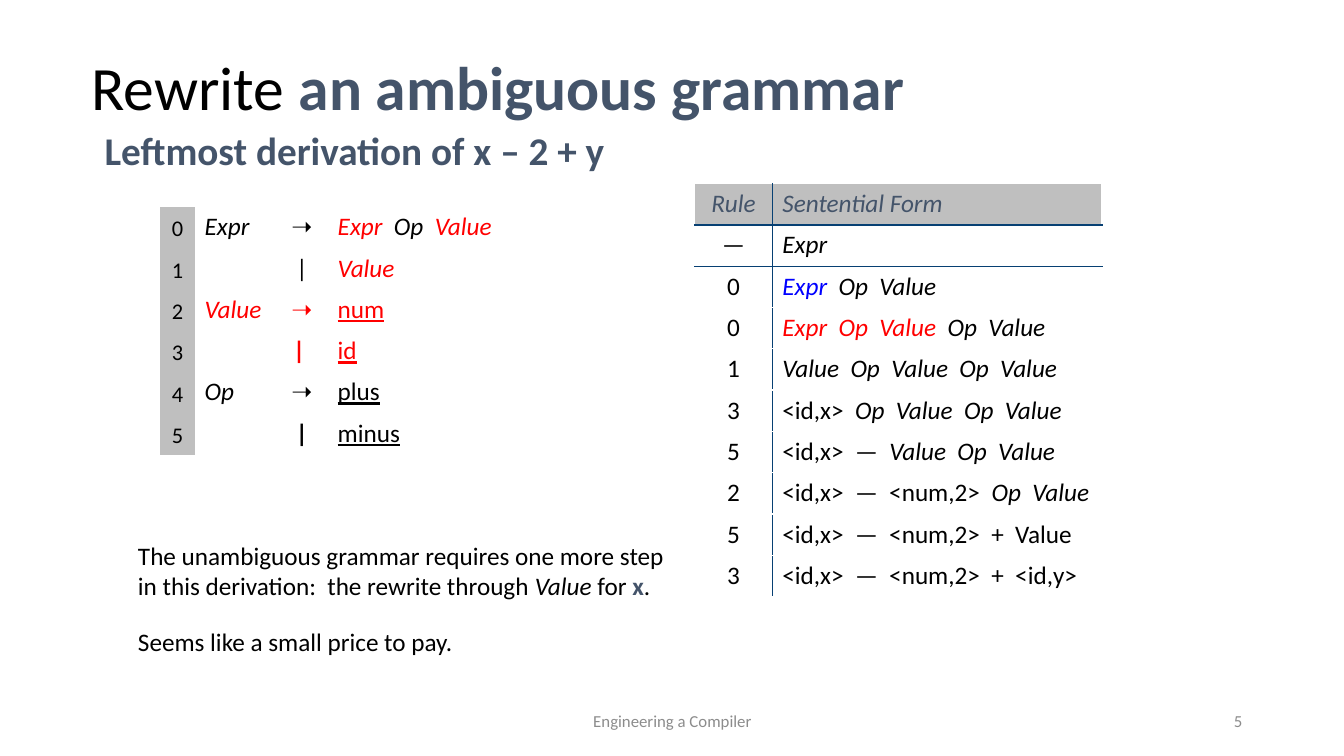
from lxml.etree import SubElement
from pptx import Presentation
from pptx.dml.color import RGBColor
from pptx.enum.text import MSO_ANCHOR, PP_ALIGN
from pptx.oxml.ns import qn
from pptx.util import Inches, Pt

BLACK, SLATE, GRAY, SILVER = "000000", "44546A", "8C8C8C", "BFBFBF"
RED, BLUE, NAVY, WHITE = "FF0000", "0000FF", "074073", "FFFFFF"
LEFT, CENTER, RIGHT = PP_ALIGN.LEFT, PP_ALIGN.CENTER, PP_ALIGN.RIGHT
ROW_HEIGHT = 0.41


def color(value):
    return RGBColor.from_string(value)


class SlideBuilder:
    """Holds the font and the current page; spans are (text, flags, colour)."""

    def __init__(self, page, font="Calibri"):
        self.page = page
        self.font = font

    def fill_para(self, para, spans, size, align=LEFT):
        para.alignment = align
        para.font.name = self.font
        para.font.size = Pt(size)
        for text, flags, ink in spans:
            span = para.add_run()
            span.text = text
            span.font.bold = "b" in flags
            span.font.italic = "i" in flags
            span.font.underline = "u" in flags
            span.font.color.rgb = color(ink)

    def text(self, area, paragraphs, size, align=LEFT, anchor=MSO_ANCHOR.TOP,
             line_spacing=None, space_before=()):
        box = self.page.shapes.add_textbox(*map(Inches, area))
        frame = box.text_frame
        frame.word_wrap = True
        frame.vertical_anchor = anchor
        for index, spans in enumerate(paragraphs):
            para = frame.add_paragraph() if index else frame.paragraphs[0]
            self.fill_para(para, spans, size, align)
            para.line_spacing = line_spacing
            if index < len(space_before):
                para.space_before = Pt(space_before[index])

    def table(self, left, top, widths, row_count):
        table = self.page.shapes.add_table(
            row_count, len(widths), Inches(left), Inches(top),
            Inches(sum(widths)), Inches(ROW_HEIGHT * row_count)).table
        table.first_row = table.horz_banding = False
        for column, width in zip(table.columns, widths):
            column.width = Inches(width)
        for row in table.rows:
            row.height = Inches(ROW_HEIGHT)
        return table

    def cell(self, cell, spans, size=18, align=LEFT, fill=None,
             anchor=MSO_ANCHOR.TOP, borders=None):
        cell.vertical_anchor = anchor
        self.fill_para(cell.text_frame.paragraphs[0], spans, size, align)
        self.borders(cell, borders or {})
        if fill:
            cell.fill.solid()
            cell.fill.fore_color.rgb = color(fill)
        else:
            cell.fill.background()

    def borders(self, cell, edges):
        properties = cell._tc.get_or_add_tcPr()
        for side in "LRTB":
            line = SubElement(properties, qn(f"a:ln{side}"))
            if side in edges:
                ink, width = edges[side]
                line.set("w", str(Pt(width)))
                solid = SubElement(line, qn("a:solidFill"))
                SubElement(solid, qn("a:srgbClr")).set("val", ink)
            else:
                SubElement(line, qn("a:noFill"))


def italic(text, ink=BLACK):
    return (text, "i", ink)


def plain(text, ink=BLACK):
    return (text, "", ink)


# Grammar rules: left-hand side, arrow or bar, right-hand side
GRAMMAR = [
    ([italic("Expr")], ("➝", "b", BLACK),
     [italic("Expr ", RED), italic(" Op  "), italic("Value", RED)]),
    ([], plain("|"), [italic("Value", RED)]),
    ([italic("Value", RED)], ("➝", "b", RED), [("num", "u", RED)]),
    ([], ("| ", "b", RED), [("id", "u", RED)]),
    ([italic("Op")], ("➝", "b", BLACK), [("plus", "u", BLACK)]),
    ([], ("|", "b", BLACK), [("minus", "u", BLACK)]),
]

# Derivation steps: rule applied, resulting sentential form
DERIVATION = [
    (italic("Rule", SLATE), [italic("Sentential Form", SLATE)]),
    (plain("—"), [italic("Expr")]),
    (plain("0"), [italic("Expr", BLUE), italic("  Op  Value")]),
    (plain("0"), [italic("Expr  Op  Value  ", RED), italic("Op  Value")]),
    (plain("1"), [italic("Value  Op  Value  Op  Value")]),
    (plain("3"), [plain("<id,x>  "), italic("Op  Value  Op  Value")]),
    (plain("5"), [plain("<id,x>  —  "), italic("Value  Op  Value")]),
    (plain("2"), [plain("<id,x>  —  <num,2>  "), italic("Op  Value")]),
    (plain("5"), [plain("<id,x>  —  <num,2>  +  Value")]),
    (plain("3"), [plain("<id,x>  —  <num,2>  +  <id,y>")]),
]


def main():
    deck = Presentation()
    deck.slide_width, deck.slide_height = Inches(13.33), Inches(7.5)
    slide = SlideBuilder(deck.slides.add_slide(deck.slide_layouts[6]))

    # Title and subtitle
    slide.text((0.81, 0.17, 11.5, 1.45),
               [[plain("Rewrite "), ("an ambiguous grammar", "b", SLATE)]],
               44, anchor=MSO_ANCHOR.MIDDLE, line_spacing=0.9)
    slide.text((0.94, 1.26, 10.03, 0.6),
               [[("Leftmost derivation of x – 2 + y", "b", SLATE)]],
               28, line_spacing=0.9, space_before=[10])

    # Derivation table: navy column rule, navy lines under the first two rows
    steps = slide.table(6.89, 1.82, [0.77, 3.27], len(DERIVATION))
    row_lines = {0: (NAVY, 1.5), 1: (NAVY, 0.75)}
    edge, rule_line = (WHITE, 1), (NAVY, 1)
    for row, (rule, form) in enumerate(DERIVATION):
        fill = None if row else SILVER
        across = {"T": row_lines.get(row - 1, edge), "B": row_lines.get(row, edge)}
        slide.cell(steps.cell(row, 0), [rule], align=CENTER, fill=fill,
                   borders={"L": edge, "R": rule_line, **across})
        slide.cell(steps.cell(row, 1), form, fill=fill,
                   borders={"L": rule_line, "R": edge, **across})

    # Grammar table
    grammar = slide.table(1.59, 2.05, [0.34, 0.81, 0.51, 1.82], len(GRAMMAR))
    for row, (name, arrow, production) in enumerate(GRAMMAR):
        slide.cell(grammar.cell(row, 0), [plain(str(row))], 16, CENTER, SILVER,
                   MSO_ANCHOR.BOTTOM)
        slide.cell(grammar.cell(row, 1), name)
        slide.cell(grammar.cell(row, 2), [arrow], align=CENTER)
        slide.cell(grammar.cell(row, 3), production)

    # Remark
    slide.text((1.27, 5.31, 5.68, 1.26), [
        [plain("The unambiguous grammar requires one more step")],
        [plain("in this derivation:  the rewrite through "), italic("Value "),
         plain("for "), ("x", "b", SLATE), plain(".")],
        [plain("Seems like a small price to pay.")],
    ], 18, space_before=[0, 0, 18])

    # Footer and page number
    slide.text((4.42, 6.95, 4.5, 0.4), [[plain("Engineering a Compiler", GRAY)]],
               12, CENTER, MSO_ANCHOR.MIDDLE)
    slide.text((9.42, 6.95, 3, 0.4), [[plain("5", GRAY)]],
               12, RIGHT, MSO_ANCHOR.MIDDLE)

    deck.save("out.pptx")


if __name__ == "__main__":
    main()
